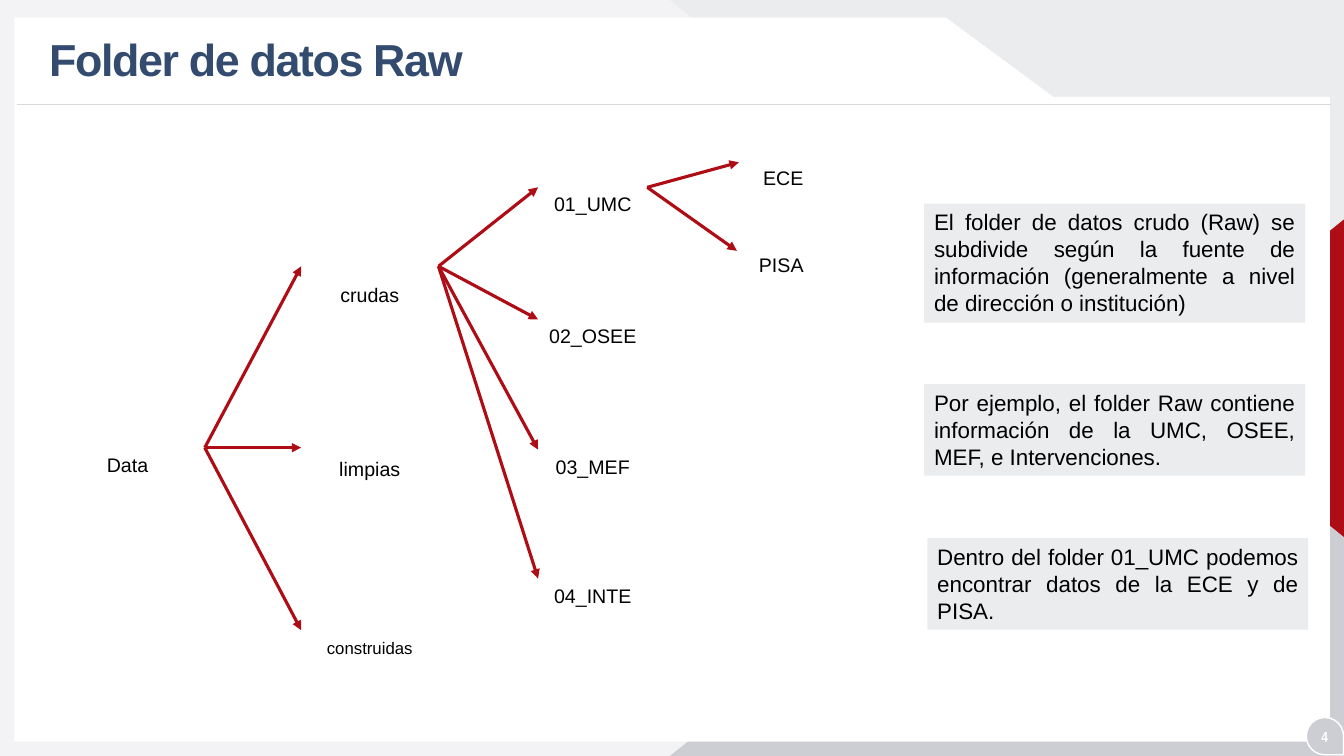
from lxml.etree import SubElement
from pptx import Presentation
from pptx.dml.color import RGBColor
from pptx.enum.shapes import MSO_CONNECTOR, MSO_SHAPE as SHAPE
from pptx.enum.text import MSO_ANCHOR as ANCHOR, PP_ALIGN as ALIGN
from pptx.oxml.ns import qn
from pptx.util import Cm, Pt

BLACK = RGBColor(0x00, 0x00, 0x00)
WHITE = RGBColor(0xFF, 0xFF, 0xFF)
NAVY = RGBColor(0x32, 0x4B, 0x6E)
RED = RGBColor(0xAF, 0x0D, 0x15)
PALE = RGBColor(0xF3, 0xF3, 0xF5)
LIGHT = RGBColor(0xEB, 0xEC, 0xEE)
GREY = RGBColor(0xCD, 0xCE, 0xD3)
RULE = RGBColor(0xD9, 0xD9, 0xD9)

PANEL = [(0.38, 0.46), (23.83, 0.46), (26.54, 2.46), (33.5, 2.46),
         (33.5, 18.67), (0.38, 18.67)]
STAGES = [("crudas", 7.01, 14), ("limpias", 11.4, 14), ("construidas", 15.95, 12)]
SOURCES = [("01_UMC", 4.72), ("02_OSEE", 8.05), ("03_MEF", 11.33), ("04_INTE", 14.58)]
NOTES = [
    (23.29, 5.13, 3.0, "El folder de datos crudo (Raw) se subdivide según la fuente de "
     "información (generalmente a nivel de dirección o institución)"),
    (23.29, 9.68, 2.31, "Por ejemplo, el folder Raw contiene información de la UMC, "
     "OSEE, MEF, e Intervenciones."),
    (23.37, 13.56, 2.31, "Dentro del folder 01_UMC podemos encontrar datos de la ECE "
     "y de PISA."),
]


def paint(s, fill, line=None):
    s.shadow.inherit = False
    s.fill.solid()
    s.fill.fore_color.rgb = fill
    if line is None:
        s.line.fill.background()
    else:
        s.line.color.rgb = line
        s.line.width = Pt(1)


def add_block(shapes, kind, box, fill, line=None, rotation=0, adj=None):
    s = shapes.add_shape(kind, *map(Cm, box))
    paint(s, fill, line)
    s.rotation = rotation
    if adj is not None:
        s.adjustments[0] = adj
    return s


def add_panel(shapes):
    start, *rest = [(Cm(x), Cm(y)) for x, y in PANEL]
    builder = shapes.build_freeform(*start, scale=1.0)
    builder.add_line_segments(rest, close=True)
    paint(builder.convert_to_shape(), WHITE, WHITE)


def add_line(shapes, start, end, color=RED, width=2.25, arrow=True):
    s = shapes.add_connector(MSO_CONNECTOR.STRAIGHT, *map(Cm, start + end))
    s.line.color.rgb = color
    s.line.width = Pt(width)
    if arrow:
        SubElement(s.line._get_or_add_ln(), qn("a:tailEnd"), type="triangle")
    SubElement(s._element.spPr, qn("a:effectLst"))


def write(s, text, align=ALIGN.CENTER, anchor=ANCHOR.TOP, color=BLACK, **font):
    tf = s.text_frame
    tf.word_wrap = True
    tf.vertical_anchor = anchor
    p = tf.paragraphs[0]
    p.alignment = align
    r = p.add_run()
    r.text = text
    for name, value in {"name": "Arial", "size": Pt(14), **font}.items():
        setattr(r.font, name, value)
    r.font.color.rgb = color
    return p


def add_text(shapes, box, text, **style):
    return write(shapes.add_textbox(*map(Cm, box)), text, **style)


def add_node(shapes, x, y, text, width=2.9, size=14):
    add_text(shapes, (x, y, width, 0.86), text, size=Pt(size))


def add_fan(shapes, start, ends):
    for end in ends:
        add_line(shapes, start, end)


def add_note(shapes, x, y, height, text):
    s = add_block(shapes, SHAPE.RECTANGLE, (x, y, 9.6, height), LIGHT)
    write(s, text, align=ALIGN.JUSTIFY, size=Pt(16))


def add_backdrop(shapes):
    add_block(shapes, SHAPE.RECTANGLE, (0, 0, 33.87, 19.05), PALE)
    s = add_block(shapes, SHAPE.ISOSCELES_TRIANGLE, (16.88, 0, 16.99, 13.49), LIGHT, adj=1)
    s._element.spPr.xfrm.set("flipV", "1")
    add_block(shapes, SHAPE.ISOSCELES_TRIANGLE, (16.88, 5.56, 16.99, 13.49), GREY, adj=1)
    add_block(shapes, SHAPE.ISOSCELES_TRIANGLE, (27.38, 7.04, 8, 4.98), RED, rotation=270)
    add_panel(shapes)
    add_line(shapes, (33.53, 2.64), (0.43, 2.64), RULE, 0.5, arrow=False)
    add_block(shapes, SHAPE.TEAR, (32.92, 18.08, 0.94, 0.94), GREY, WHITE, rotation=90)


def add_tree(shapes):
    add_node(shapes, 1.83, 11.28, "Data", width=2.77)
    for text, y, size in STAGES:
        add_node(shapes, 7.87, y, text, size=size)
    for text, y in SOURCES:
        add_node(shapes, 13.49, y, text)
    add_node(shapes, 18.29, 4.06, "ECE")
    add_node(shapes, 18.24, 6.25, "PISA")
    add_fan(shapes, (5.16, 11.28), [(7.59, y) for y in (6.71, 11.28, 15.88)])
    add_fan(shapes, (11.05, 6.71), [(13.56, y) for _, y in SOURCES])
    add_fan(shapes, (16.31, 4.72), [(18.62, 4.09), (18.57, 6.32)])


def main():
    prs = Presentation()
    prs.slide_width, prs.slide_height = Cm(33.87), Cm(19.05)
    shapes = prs.slides.add_slide(prs.slide_layouts[6]).shapes
    add_backdrop(shapes)
    p = add_text(shapes, (0.99, 0.56, 24.54, 2.01), "Folder de datos Raw", align=ALIGN.LEFT,
                 anchor=ANCHOR.MIDDLE, color=NAVY, size=Pt(32), bold=True)
    p.line_spacing = 0.9
    p.runs[0].font._element.set("spc", "-100")
    add_text(shapes, (32.79, 18.21, 1.19, 0.71), "4", anchor=ANCHOR.MIDDLE, color=WHITE,
             name="Arial Narrow", size=Pt(10.5), bold=True)
    add_tree(shapes)
    for note in NOTES:
        add_note(shapes, *note)
    prs.save("out.pptx")


if __name__ == "__main__":
    main()
